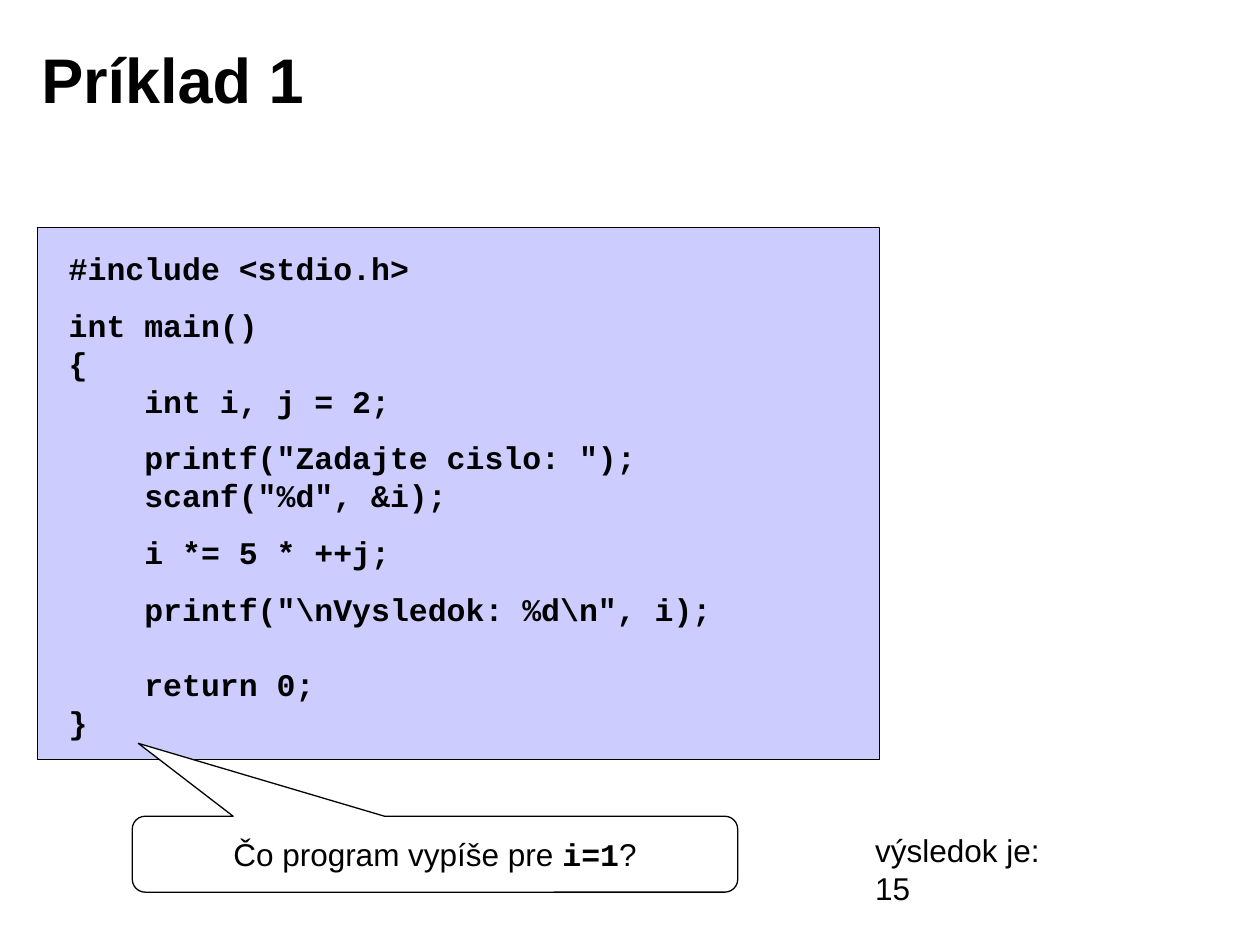
from pptx import Presentation
from pptx.dml.color import RGBColor
from pptx.enum.shapes import MSO_SHAPE
from pptx.enum.text import MSO_ANCHOR, PP_ALIGN
from pptx.util import Pt

CODE = r'''#include <stdio.h>

int main()
{
    int i, j = 2;

    printf("Zadajte cislo: ");
    scanf("%d", &i);

    i *= 5 * ++j;

    printf("\nVysledok: %d\n", i);

    return 0;
}'''
LINE_HEIGHT = 21.6


def style(font, name="Arial", size=18, bold=False, color="000000"):
    font.name = name
    font.size = Pt(size)
    font.bold = bold
    font.color.rgb = RGBColor.from_string(color)


def paint(shape, fill, line="000000"):
    shape.shadow.inherit = False
    shape.fill.solid()
    shape.fill.fore_color.rgb = RGBColor.from_string(fill)
    shape.line.color.rgb = RGBColor.from_string(line)
    shape.line.width = Pt(0.75)


deck = Presentation()
deck.slide_width, deck.slide_height = Pt(720), Pt(540)
page = deck.slides.add_slide(deck.slide_layouts[6])
shapes = page.shapes

# Title
title = shapes.add_textbox(Pt(16.5), Pt(11), Pt(578), Pt(67))
title.text_frame.word_wrap = True
title.text_frame.vertical_anchor = MSO_ANCHOR.MIDDLE
title.text_frame.text = "Príklad 1"
style(title.text_frame.paragraphs[0].runs[0].font, size=36, bold=True)

# Code listing on its panel
panel = shapes.add_shape(MSO_SHAPE.RECTANGLE, Pt(21.5), Pt(130), Pt(481), Pt(304))
paint(panel, "CCCCFF")

listing = shapes.add_textbox(Pt(32.2), Pt(139), Pt(454), Pt(287))
listing.text_frame.word_wrap = True
blocks = CODE.split("\n\n")
listing.text_frame.text = "\n".join(blocks)
for paragraph in listing.text_frame.paragraphs:
    paragraph.line_spacing = Pt(LINE_HEIGHT)
    style(paragraph.runs[0].font, "Courier New", bold=True)

# Half a line between blocks, a full line before the return
first_line = 0
for block, following in zip(blocks, blocks[1:]):
    first_line += len(block.split("\n"))
    gap = LINE_HEIGHT if "return" in following else LINE_HEIGHT / 2
    listing.text_frame.paragraphs[first_line].space_before = Pt(gap)

# Question callout pointing at the code
question = shapes.add_shape(
    MSO_SHAPE.ROUNDED_RECTANGULAR_CALLOUT, Pt(75.6), Pt(466.4), Pt(346), Pt(43.4))
paint(question, "FFFFFF")
for index, value in enumerate((-0.49, -1.46, 0.17)):
    question.adjustments[index] = value
question.text_frame.word_wrap = True
question.text_frame.vertical_anchor = MSO_ANCHOR.MIDDLE
paragraph = question.text_frame.paragraphs[0]
paragraph.alignment = PP_ALIGN.CENTER
for text, name, bold in (
    ("Čo program vypíše pre ", "Arial", False),
    ("i=1", "Courier New", True),
    ("?", "Arial", False),
):
    span = paragraph.add_run()
    span.text = text
    style(span.font, name, bold=bold)

# Answer
answer = shapes.add_textbox(Pt(493), Pt(471.6), Pt(132), Pt(28))
answer.text_frame.word_wrap = False
answer.text_frame.text = "výsledok je: 15"
style(answer.text_frame.paragraphs[0].runs[0].font)

deck.save("out.pptx")
